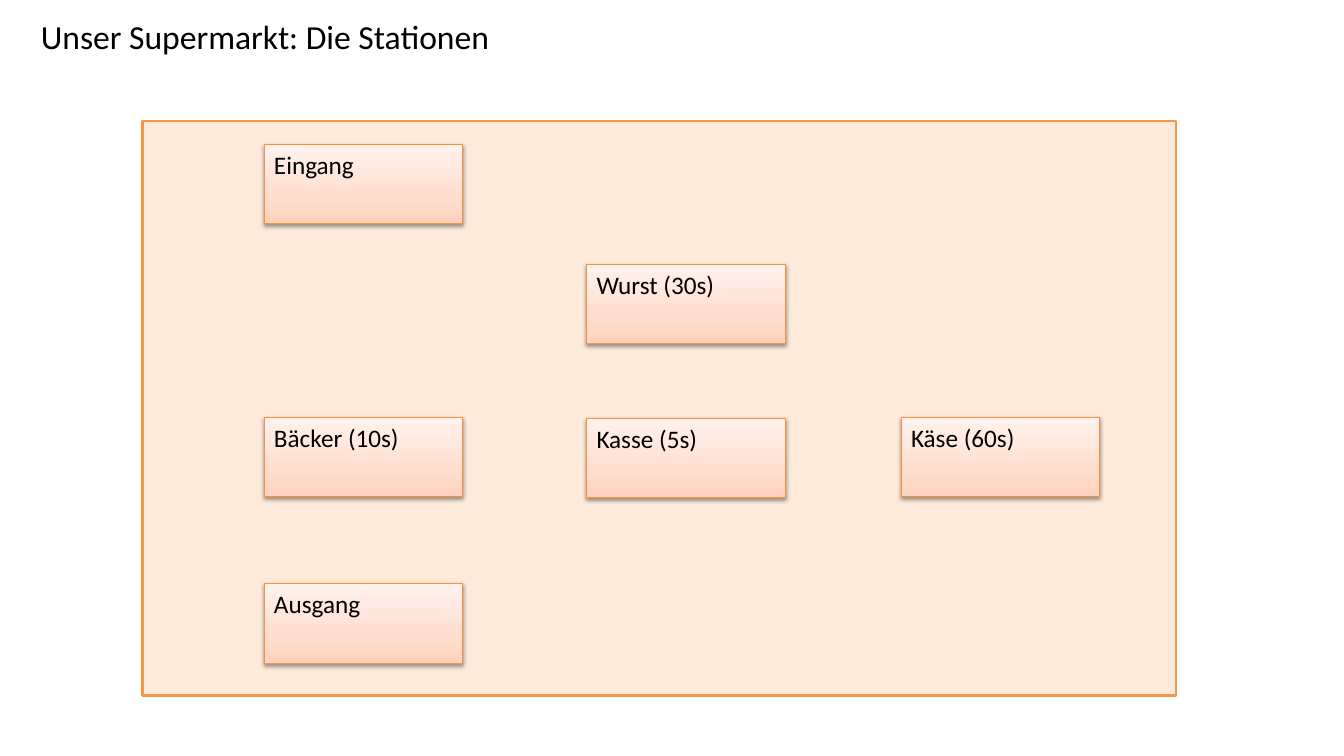
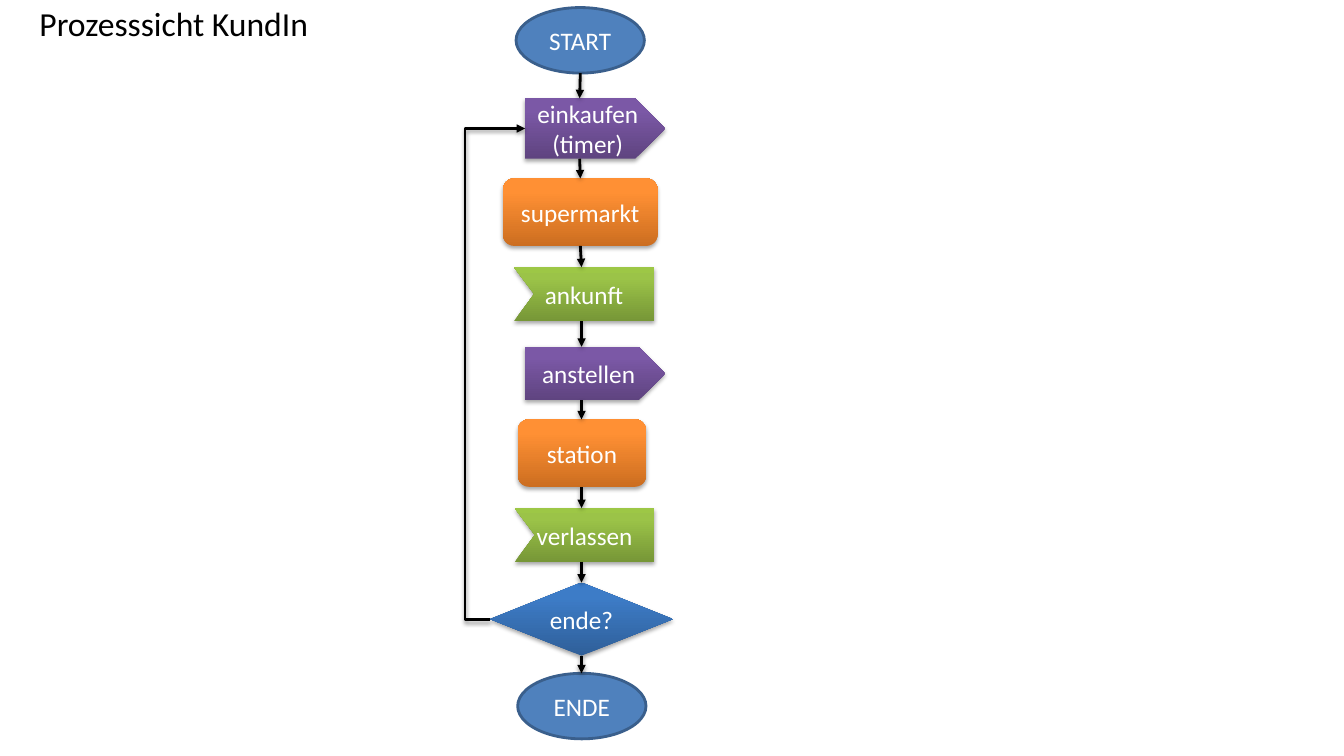
from dataclasses import dataclass
from itertools import pairwise
from typing import Optional

from lxml.etree import SubElement
from pptx import Presentation
from pptx.dml.color import RGBColor
from pptx.enum.shapes import MSO_CONNECTOR as Connector, MSO_SHAPE as Preset
from pptx.enum.text import MSO_ANCHOR as Anchor, PP_ALIGN as Align
from pptx.oxml.ns import qn
from pptx.util import Emu, Inches, Pt

SLIDE_WIDTH, SLIDE_HEIGHT = Inches(13.333), Inches(7.5)
COLUMNS, ROWS = 100, 75
FONT = "Calibri"
COLORS = {
    "text": "000000",
    "inverse": "FFFFFF",
    "panel": "FDEADA",
    "panel_line": "F79646",
    "station_line": "F69240",
    "terminal": "4F81BD",
    "terminal_line": "3A5F8C",
    "shadow": "000000",
    "arrow": "000000",
}
GRADIENTS = {
    "station": ((0, "FFD2BD"), (35, "FFDED0"), (100, "FFF2ED")),
    "send": ((0, "5F4480"), (80, "7B58A6"), (100, "7C57A8")),
    "process": ((0, "CC6E20"), (80, "FF9034"), (100, "FF9136")),
    "receive": ((0, "779737"), (80, "9BC348"), (100, "9DC746")),
    "decision": ((0, "2F5F99"), (80, "3D7CC7"), (100, "3A7CCB")),
}


@dataclass(frozen=True)
class Box:
    left: float
    top: float
    width: float
    height: float

    @property
    def bottom(self) -> float:
        return self.top + self.height

    @property
    def middle(self) -> float:
        return self.top + self.height / 2


@dataclass(frozen=True)
class Shadow:
    distance: float
    opacity: int


@dataclass(frozen=True)
class Look:
    fill: str
    preset: Optional[Preset] = None
    line: Optional[str] = None
    line_width: float = 2
    shadow: Optional[Shadow] = None


@dataclass(frozen=True)
class TextStyle:
    size: int
    color: str
    frame: dict
    paragraph: dict


@dataclass(frozen=True)
class Station:
    label: str
    left: float
    top: float


@dataclass(frozen=True)
class Step:
    label: str
    kind: str
    box: Box
    axis: float = 43.27


SOFT = Shadow(1.6, 38)
DEEP = Shadow(1.8, 35)
LOOKS = {
    "panel": Look("panel", Preset.RECTANGLE, "panel_line"),
    "station": Look("station", Preset.RECTANGLE, "station_line", 0.75, SOFT),
    "terminal": Look("terminal", Preset.OVAL, "terminal_line"),
    "send": Look("send", Preset.PENTAGON, shadow=DEEP),
    "process": Look("process", Preset.FLOWCHART_ALTERNATE_PROCESS, shadow=DEEP),
    "receive": Look("receive", shadow=DEEP),
    "decision": Look("decision", Preset.DIAMOND, shadow=DEEP),
}
TITLE = TextStyle(24, "text", {"word_wrap": True, "vertical_anchor": Anchor.MIDDLE},
                  {"alignment": Align.LEFT, "line_spacing": 0.9})
STATION_TEXT = TextStyle(18, "text", {"word_wrap": True, "vertical_anchor": Anchor.TOP},
                         {"alignment": Align.LEFT})
STEP_TEXT = TextStyle(18, "inverse", {"word_wrap": True, "vertical_anchor": Anchor.MIDDLE},
                      {"alignment": Align.CENTER})

PANEL = Box(10.6, 12, 76.9, 57)
LEFT, CENTER, RIGHT = 19.65, 43.65, 67.05
STATION_WIDTH, STATION_HEIGHT = 14.8, 7.9
STATIONS = (
    Station("Bäcker (10s)", LEFT, 41.4),
    Station("Eingang", LEFT, 14.3),
    Station("Wurst (30s)", CENTER, 26.2),
    Station("Käse (60s)", RIGHT, 41.4),
    Station("Kasse (5s)", CENTER, 41.5),
    Station("Ausgang", LEFT, 57.9),
)

NOTCH = 1.5
LOOP_COLUMN = 34.6
SHOPPING = Step("einkaufen\v(timer)", "send", Box(39.08, 9.75, 10.43, 6), 43.13)
FINISHED = Step("ende?", "decision", Box(36.47, 57.8, 13.6, 7.25))
STEPS = (
    Step("START", "terminal", Box(38.4, 0.75, 9.55, 6.5), 43.18),
    SHOPPING,
    Step("supermarkt", "process", Box(37.42, 17.7, 11.5, 6.7), 43.18),
    Step("ankunft", "receive", Box(38.25, 26.5, 10.4, 5.35)),
    Step("anstellen", "send", Box(39.08, 34.4, 10.43, 5.3)),
    Step("station", "process", Box(38.53, 41.6, 9.55, 6.7)),
    Step("verlassen", "receive", Box(38.3, 50.4, 10.4, 5.35)),
    FINISHED,
    Step("ENDE", "terminal", Box(38.52, 66.8, 9.55, 6.5)),
)


def column(count: float) -> Emu:
    return Emu(round(SLIDE_WIDTH * count / COLUMNS))


def row(count: float) -> Emu:
    return Emu(round(SLIDE_HEIGHT * count / ROWS))


def place(box: Box) -> tuple:
    return column(box.left), row(box.top), column(box.width), row(box.height)


def rgb(name: str) -> RGBColor:
    return RGBColor.from_string(COLORS[name])


def set_all(target, values: dict) -> None:
    for name, value in values.items():
        setattr(target, name, value)


def add_color(parent, value: str):
    return SubElement(parent, qn("a:srgbClr"), val=value)


def write_text(shape, text: str, style: TextStyle) -> None:
    frame = shape.text_frame
    frame.text = text
    set_all(frame, style.frame)
    for paragraph in frame.paragraphs:
        set_all(paragraph, style.paragraph)
        for run in paragraph.runs:
            set_all(run.font, {"name": FONT, "size": Pt(style.size)})
            run.font.color.rgb = rgb(style.color)


def fill_gradient(shape, stops: tuple) -> None:
    properties = shape._element.spPr
    gradient = SubElement(properties, qn("a:gradFill"), rotWithShape="1")
    properties.insert(2, gradient)
    stop_list = SubElement(gradient, qn("a:gsLst"))
    for percent, value in stops:
        add_color(SubElement(stop_list, qn("a:gs"), pos=str(percent * 1000)), value)
    SubElement(gradient, qn("a:lin"), ang="16200000", scaled="0")


def set_shadow(shape, shadow: Optional[Shadow]) -> None:
    effects = SubElement(shape._element.spPr, qn("a:effectLst"))
    if shadow:
        outer = SubElement(effects, qn("a:outerShdw"), blurRad=str(Pt(3.1)),
                           dist=str(Pt(shadow.distance)), dir="5400000", rotWithShape="0")
        color = add_color(outer, COLORS["shadow"])
        SubElement(color, qn("a:alpha"), val=str(shadow.opacity * 1000))


def add_notched_flag(slide, box: Box):
    right = box.left + box.width
    corners = ((right, box.top), (right, box.bottom), (box.left, box.bottom),
               (box.left + NOTCH, box.middle))
    builder = slide.shapes.build_freeform(column(box.left), row(box.top))
    builder.add_line_segments([(column(x), row(y)) for x, y in corners], close=True)
    return builder.convert_to_shape()


def add_box(slide, box: Box, look: Look):
    if look.preset is None:
        shape = add_notched_flag(slide, box)
    else:
        shape = slide.shapes.add_shape(look.preset, *place(box))
    if look.fill in GRADIENTS:
        fill_gradient(shape, GRADIENTS[look.fill])
    else:
        shape.fill.solid()
        shape.fill.fore_color.rgb = rgb(look.fill)
    if look.line:
        shape.line.color.rgb = rgb(look.line)
        shape.line.width = Pt(look.line_width)
    else:
        shape.line.fill.background()
    set_shadow(shape, look.shadow)
    return shape


def add_arrow(slide, kind: Connector, start: tuple, end: tuple):
    arrow = slide.shapes.add_connector(kind, column(start[0]), row(start[1]),
                                       column(end[0]), row(end[1]))
    arrow.line.color.rgb = rgb("arrow")
    arrow.line.width = Pt(2)
    SubElement(arrow.line._get_or_add_ln(), qn("a:tailEnd"), type="triangle")
    set_shadow(arrow, SOFT)
    return arrow


def add_loop(slide, source: Box, target: Box) -> None:
    arrow = add_arrow(slide, Connector.ELBOW, (source.left, source.middle),
                      (target.left, target.middle))
    bend = (LOOP_COLUMN - source.left) / (target.left - source.left)
    adjustments = arrow._element.spPr.find(qn("a:prstGeom")).find(qn("a:avLst"))
    SubElement(adjustments, qn("a:gd"), name="adj1", fmla=f"val {round(bend * 100000)}")


def add_titled_slide(presentation, title: str, left: float, top: float):
    slide = presentation.slides.add_slide(presentation.slide_layouts[6])
    text_box = slide.shapes.add_textbox(*place(Box(left, top, 95.8, 5.5)))
    write_text(text_box, title, TITLE)
    return slide


def build_stations(presentation) -> None:
    slide = add_titled_slide(presentation, "Unser Supermarkt: Die Stationen", 2.3, 1.1)
    add_box(slide, PANEL, LOOKS["panel"])
    for station in STATIONS:
        box = Box(station.left, station.top, STATION_WIDTH, STATION_HEIGHT)
        write_text(add_box(slide, box, LOOKS["station"]), station.label, STATION_TEXT)


def build_process(presentation) -> None:
    slide = add_titled_slide(presentation, "Prozesssicht KundIn", 2.2, -0.2)
    for step in STEPS:
        write_text(add_box(slide, step.box, LOOKS[step.kind]), step.label, STEP_TEXT)
    for upper, lower in pairwise(STEPS):
        add_arrow(slide, Connector.STRAIGHT, (upper.axis, upper.box.bottom),
                  (lower.axis, lower.box.top))
    add_loop(slide, FINISHED.box, SHOPPING.box)


def main() -> None:
    presentation = Presentation()
    set_all(presentation, {"slide_width": SLIDE_WIDTH, "slide_height": SLIDE_HEIGHT})
    build_stations(presentation)
    build_process(presentation)
    presentation.save("out.pptx")


main()
